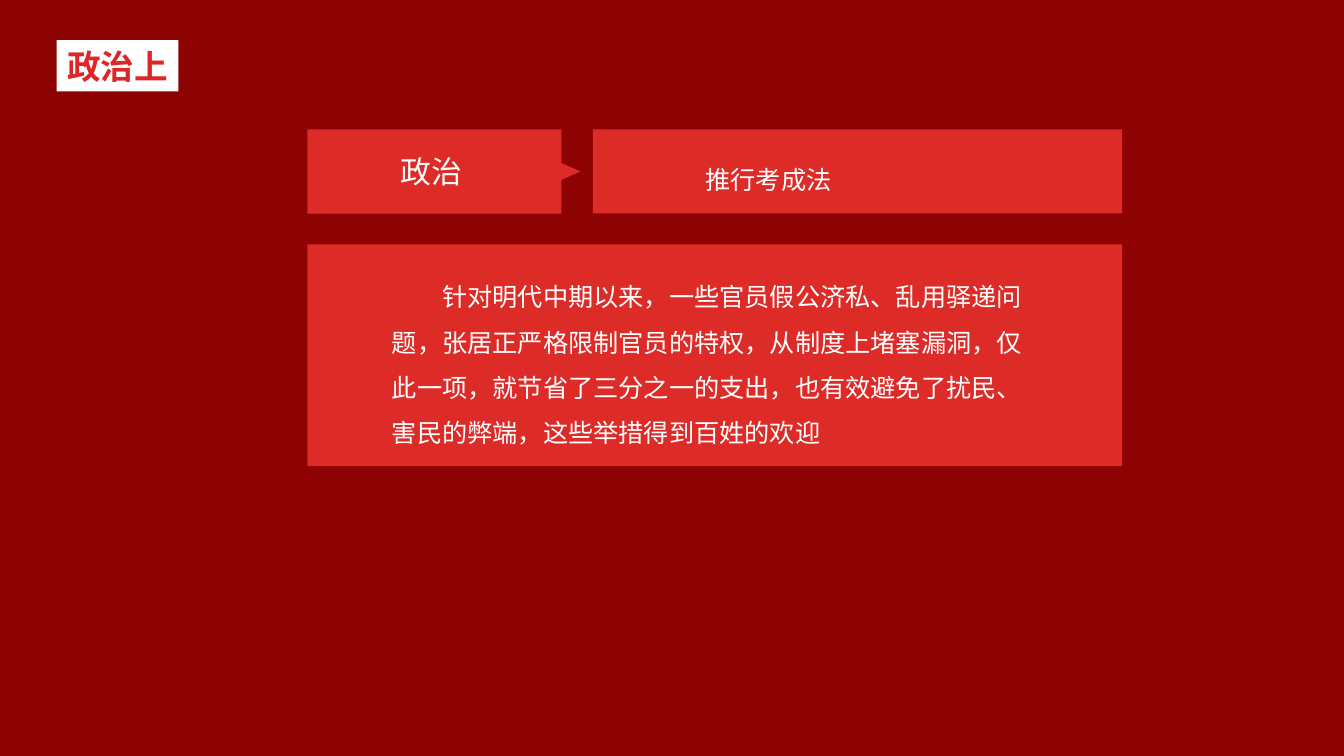
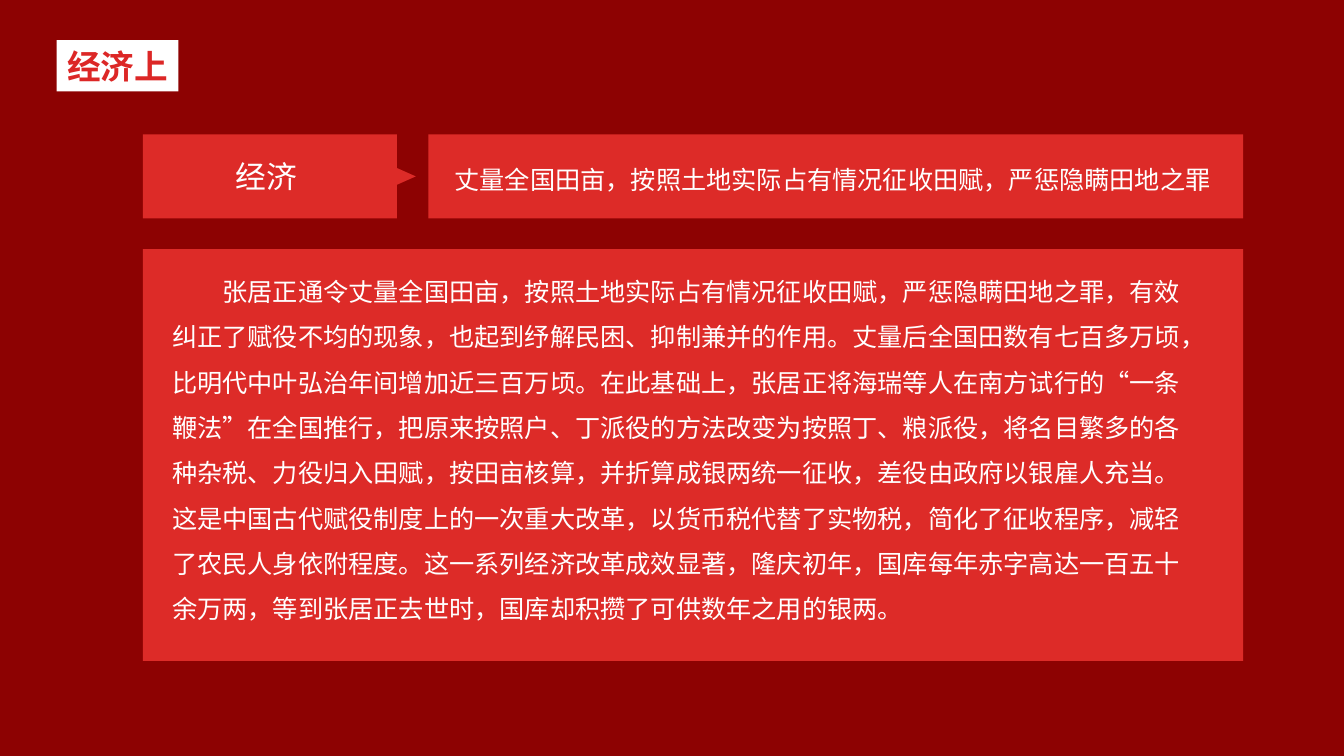
from dataclasses import dataclass

from lxml.etree import SubElement
from pptx import Presentation
from pptx.dml.color import RGBColor
from pptx.enum.lang import MSO_LANGUAGE_ID as Language
from pptx.enum.shapes import MSO_SHAPE as Shape
from pptx.enum.text import MSO_ANCHOR as Anchor, MSO_AUTO_SIZE as AutoSize, PP_ALIGN as Align
from pptx.oxml.ns import qn
from pptx.util import Pt


@dataclass(frozen=True)
class Theme:
    """Colours, fonts and type sizes of the deck."""
    ground: RGBColor = RGBColor(0x8D, 0x02, 0x02)
    panel: RGBColor = RGBColor(0xDD, 0x2B, 0x28)
    accent: RGBColor = RGBColor(0xDC, 0x27, 0x26)
    white: RGBColor = RGBColor(0xFF, 0xFF, 0xFF)
    latin: str = "Calibri"
    chinese: str = "Noto Sans CJK SC"
    title_size: int = 24
    tag_size: int = 22
    body_size: int = 18


@dataclass(frozen=True)
class Box:
    """A rectangle in points."""
    left: float
    top: float
    width: float
    height: float

    def lengths(self):
        """Return left, top, width and height as lengths."""
        return tuple(Pt(value) for value in (self.left, self.top, self.width, self.height))


@dataclass(frozen=True)
class Topic:
    """Wording and measures of one topic slide."""
    title: str
    tag: str
    headline: str
    passage: str
    box: Box
    headline_inset: float
    passage_insets: tuple


THEME = Theme()
BADGE = Box(40.5, 28.75, 87, 36.5)
ROW_HEIGHT = 60
ROW_GAP = 22
TAG_WIDTH = 181.5
POINTER_WIDTH = 13.5
POINTER_HALF = 6
HEADLINE_OFFSET = 204
HEADLINE_TOP = 113
TAG_MARGIN = 18
FIRST_LINE = 36

TOPICS = (
    Topic(
        "政治上", "政治", "推行考成法",
        "针对明代中期以来，一些官员假公济私、乱用驿递问题，张居正严格限制官员的特权，"
        "从制度上堵塞漏洞，仅此一项，就节省了三分之一的支出，也有效避免了扰民、害民的弊端，"
        "这些举措得到百姓的欢迎",
        Box(219.5, 92.5, 582, 240.5), 80.5, (60.5, 15.75, 60.5, 0),
    ),
    Topic(
        "经济上", "经济", "丈量全国田亩，按照土地实际占有情况征收田赋，严惩隐瞒田地之罪",
        "张居正通令丈量全国田亩，按照土地实际占有情况征收田赋，严惩隐瞒田地之罪，"
        "有效纠正了赋役不均的现象，也起到纾解民困、抑制兼并的作用。"
        "丈量后全国田数有七百多万顷，比明代中叶弘治年间增加近三百万顷。"
        "在此基础上，张居正将海瑞等人在南方试行的“一条鞭法”在全国推行，"
        "把原来按照户、丁派役的方法改变为按照丁、粮派役，将名目繁多的各种杂税、力役归入田赋，"
        "按田亩核算，并折算成银两统一征收，差役由政府以银雇人充当。"
        "这是中国古代赋役制度上的一次重大改革，以货币税代替了实物税，简化了征收程序，"
        "减轻了农民人身依附程度。这一系列经济改革成效显著，隆庆初年，"
        "国库每年赤字高达一百五十余万两，等到张居正去世时，国库却积攒了可供数年之用的银两。",
        Box(102, 96, 786, 376), 18.75, (21, 8.5, 29.25, 0),
    ),
)


def paint(shape, color):
    """Give a shape a plain fill without outline."""
    shape.fill.solid()
    shape.fill.fore_color.rgb = color
    shape.line.fill.background()


def place(shape, box):
    """Move a shape onto a box."""
    shape.left, shape.top, shape.width, shape.height = box.lengths()


def write(shape, text, size, color, font, align=Align.LEFT, anchor=Anchor.TOP,
          insets=(0, 0, 0, 0), spacing=1.0, bold=False, wrap=True, indent=0):
    """Set one paragraph of text in a shape."""
    frame = shape.text_frame
    frame.auto_size = AutoSize.NONE
    frame.word_wrap = wrap
    frame.vertical_anchor = anchor
    (frame.margin_left, frame.margin_top,
     frame.margin_right, frame.margin_bottom) = (Pt(inset) for inset in insets)
    para = frame.paragraphs[0]
    para.text = text
    para.alignment = align
    para.line_spacing = spacing
    para.space_before = Pt(0)
    props = para._p.get_or_add_pPr()
    props.set("marL", "0")
    props.set("indent", str(Pt(indent)))
    SubElement(props, qn("a:buNone"))
    para.font.name = font
    para.font.size = Pt(size)
    para.font.bold = bold
    para.font.color.rgb = color
    para.font.language_id = Language.SIMPLIFIED_CHINESE
    SubElement(props.find(qn("a:defRPr")), qn("a:ea"), typeface=THEME.chinese)


def add_badge(page, text, box):
    """Turn the title placeholder into the white badge."""
    badge = page.shapes.title
    place(badge, box)
    paint(badge, THEME.white)
    write(badge, text, THEME.title_size, THEME.accent, THEME.chinese,
          align=Align.CENTER, anchor=Anchor.MIDDLE, bold=True, wrap=False)


def add_tag(page, text, box):
    """Draw the pointed tag with its centred label."""
    edge, middle = box.left + box.width, box.top + box.height / 2
    bottom = box.top + box.height
    outline = [
        (edge, box.top), (edge, middle - POINTER_HALF), (edge + POINTER_WIDTH, middle),
        (edge, middle + POINTER_HALF), (edge, bottom), (box.left, bottom),
    ]
    builder = page.shapes.build_freeform(Pt(box.left), Pt(box.top))
    builder.add_line_segments([(Pt(x), Pt(y)) for x, y in outline], close=True)
    tag = builder.convert_to_shape()
    tag.shadow.inherit = False
    paint(tag, THEME.panel)
    write(tag, text, THEME.tag_size, THEME.white, THEME.chinese,
          align=Align.CENTER, anchor=Anchor.MIDDLE, insets=(0, 0, TAG_MARGIN, 0))


def add_headline(page, text, box, inset):
    """Draw the headline panel beside the tag."""
    panel = page.shapes.add_shape(Shape.RECTANGLE, *box.lengths())
    panel.shadow.inherit = False
    paint(panel, THEME.panel)
    write(panel, text, THEME.body_size, THEME.white, THEME.latin,
          insets=(inset, HEADLINE_TOP - box.top, 0, 0), spacing=1.2)


def add_passage(page, text, box, insets):
    """Turn the body placeholder into the passage panel."""
    panel = page.placeholders[1]
    place(panel, box)
    paint(panel, THEME.panel)
    write(panel, text, THEME.body_size, THEME.white, THEME.latin,
          insets=insets, spacing=1.5, indent=FIRST_LINE)


def add_topic(deck, topic):
    """Build one topic slide."""
    page = deck.slides.add_slide(deck.slide_layouts[1])
    box = topic.box
    drop = ROW_HEIGHT + ROW_GAP
    add_badge(page, topic.title, BADGE)
    add_tag(page, topic.tag, Box(box.left, box.top, TAG_WIDTH, ROW_HEIGHT))
    add_headline(page, topic.headline,
                 Box(box.left + HEADLINE_OFFSET, box.top, box.width - HEADLINE_OFFSET, ROW_HEIGHT),
                 topic.headline_inset)
    add_passage(page, topic.passage,
                Box(box.left, box.top + drop, box.width, box.height - drop),
                topic.passage_insets)


def main():
    """Build and save the deck."""
    deck = Presentation()
    deck.slide_width, deck.slide_height = Pt(960), Pt(540)
    ground = deck.slide_master.background.fill
    ground.solid()
    ground.fore_color.rgb = THEME.ground
    for topic in TOPICS:
        add_topic(deck, topic)
    deck.save("out.pptx")


if __name__ == "__main__":
    main()
